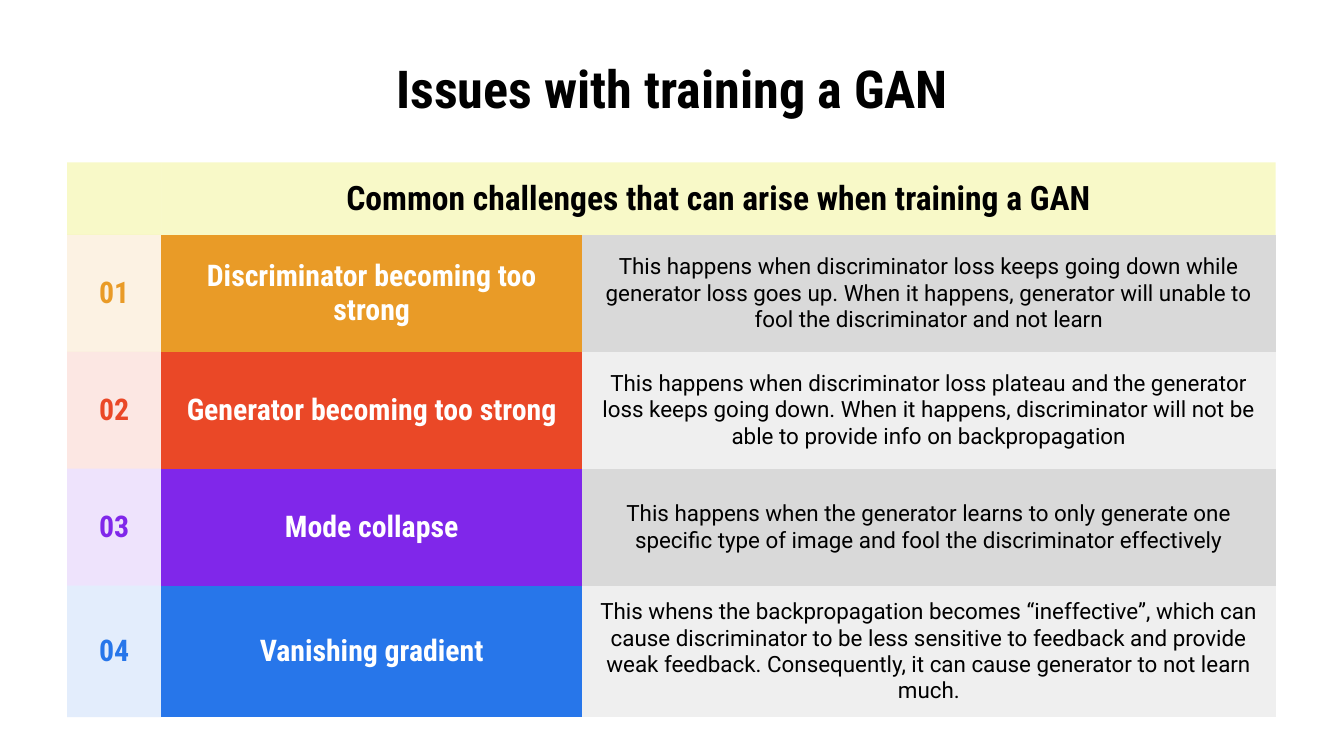
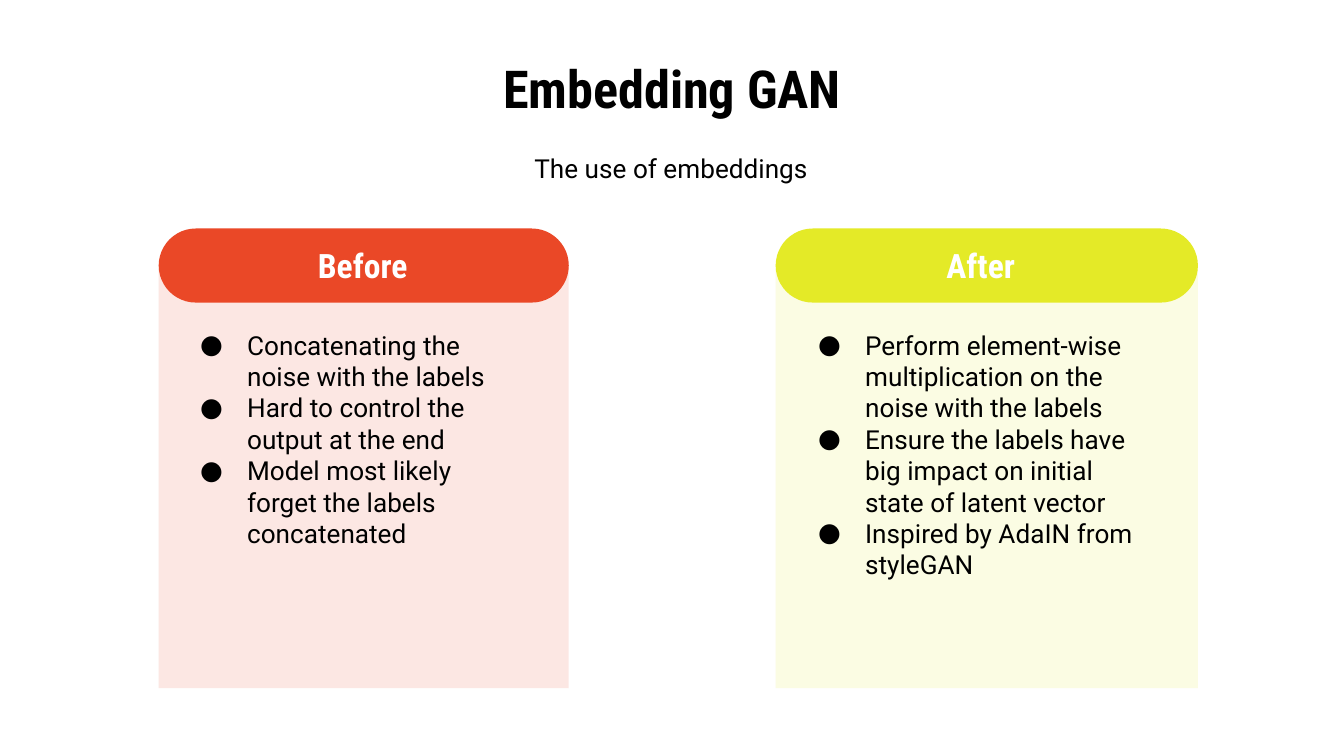
from lxml.etree import SubElement as Sub
from pptx import Presentation
from pptx.dml.color import RGBColor as RGB
from pptx.enum.shapes import MSO_SHAPE as Kind
from pptx.enum.text import MSO_ANCHOR as Anchor, MSO_AUTO_SIZE as Fit, PP_ALIGN as Align
from pptx.oxml.ns import qn
from pptx.util import Cm, Pt

BLACK, WHITE = RGB(0, 0, 0), RGB(255, 255, 255)
ORANGE, RED = RGB(0xE9, 0x9B, 0x27), RGB(0xEA, 0x48, 0x27)
PURPLE, BLUE = RGB(0x80, 0x27, 0xEA), RGB(0x27, 0x76, 0xEA)
LIME = RGB(0xE4, 0xEA, 0x27)
GREY, PALE = RGB(0xD9, 0xD9, 0xD9), RGB(0xEF, 0xEF, 0xEF)
HEAD, BODY = "Roboto Condensed", "Roboto"
NO_GRID = "{2D5ABB26-0587-4C30-8999-92F81FD0307C}"
INSET, INDENT = Cm(0.25), Cm(0.89)
TINT = 13


class Deck:
    def __init__(self):
        self.prs = Presentation()
        self.prs.slide_width, self.prs.slide_height = Cm(25.4), Cm(14.29)
        self.slide = None

    def page(self, layout, title):
        self.slide = self.prs.slides.add_slide(self.prs.slide_layouts[layout])
        box = self.slide.shapes.title
        self.place(box, 1.27, 1.14, 22.86, 1.04)
        self.frame(box, Anchor.MIDDLE)
        self.add_run(box.text_frame.paragraphs[0], title, 28, bold=True)

    def place(self, shape, x, y, w, h):
        shape.left, shape.top = Cm(x), Cm(y)
        shape.width, shape.height = Cm(w), Cm(h)

    def frame(self, box, anchor):
        text = box.text_frame
        text.word_wrap, text.auto_size = True, Fit.NONE
        text.vertical_anchor = anchor
        self.inset(text)

    def inset(self, item):
        item.margin_left = item.margin_right = INSET
        item.margin_top = item.margin_bottom = INSET

    def add_run(self, para, words, size, color=BLACK, bold=False, align=Align.CENTER):
        para.alignment = align
        para.space_before = Pt(0)
        run = para.add_run()
        run.text = words
        font = run.font
        font.name, font.size, font.bold = HEAD if bold else BODY, Pt(size), bold
        font.color.rgb = color

    def paint(self, fill, color, alpha=100):
        fill.solid()
        fill.fore_color.rgb = color
        if alpha < 100:
            node = next(fill._xPr.iter(qn("a:srgbClr")))
            Sub(node, qn("a:alpha"), val=str(alpha * 1000))

    def label(self, words, x, y, w, h, size, color=BLACK, bold=False, anchor=Anchor.MIDDLE):
        box = self.slide.shapes.add_textbox(Cm(x), Cm(y), Cm(w), Cm(h))
        self.frame(box, anchor)
        self.add_run(box.text_frame.paragraphs[0], words, size, color, bold)

    def block(self, kind, x, y, w, h, color, alpha=100):
        shape = self.slide.shapes.add_shape(kind, Cm(x), Cm(y), Cm(w), Cm(h))
        shape.shadow.inherit = False
        shape.line.fill.background()
        self.paint(shape.fill, color, alpha)
        return shape

    def bullets(self, slot, items, x, y, w, h):
        box = self.slide.placeholders[slot]
        self.place(box, x, y, w, h)
        self.frame(box, Anchor.TOP)
        text = box.text_frame
        for i, words in enumerate(items):
            para = text.add_paragraph() if i else text.paragraphs[0]
            props = para._p.get_or_add_pPr()
            props.set("marL", str(INDENT))
            props.set("indent", str(-INDENT))
            Sub(Sub(props, qn("a:buClr")), qn("a:srgbClr"), val=str(BLACK))
            Sub(props, qn("a:buFont"), typeface=BODY)
            Sub(props, qn("a:buChar"), char="●")
            self.add_run(para, words, 14, align=Align.LEFT)

    def table(self, x, y, cols, rows):
        shape = self.slide.shapes.add_table(
            len(rows), len(cols), Cm(x), Cm(y), Cm(sum(cols)), Cm(sum(rows)))
        grid = shape.table
        grid._tbl.tblPr.find(qn("a:tableStyleId")).text = NO_GRID
        grid.first_row = grid.horz_banding = False
        for col, w in zip(grid.columns, cols):
            col.width = Cm(w)
        for row, h in zip(grid.rows, rows):
            row.height = Cm(h)
        return grid

    def cell(self, cell, fill, alpha=100, words="", size=16, color=BLACK, bold=True):
        cell.vertical_anchor = Anchor.MIDDLE
        self.inset(cell)
        self.paint(cell.fill, fill, alpha)
        if words:
            self.add_run(cell.text_frame.paragraphs[0], words, size, color, bold)


def issues(deck):
    deck.page(5, "Issues with training a GAN")
    rows = [
        (ORANGE, "Discriminator becoming too strong",
         "This happens when discriminator loss keeps going down while generator loss goes up. "
         "When it happens, generator will unable to fool the discriminator and not learn"),
        (RED, "Generator becoming too strong",
         "This happens when discriminator loss plateau and the generator loss keeps going down. "
         "When it happens, discriminator will not be able to provide info on backpropagation"),
        (PURPLE, "Mode collapse",
         "This happens when the generator learns to only generate one specific type of image "
         "and fool the discriminator effectively"),
        (BLUE, "Vanishing gradient",
         "This whens the backpropagation becomes “ineffective”, which can cause discriminator "
         "to be less sensitive to feedback and provide weak feedback. "
         "Consequently, it can cause generator to not learn much."),
    ]
    grid = deck.table(1.27, 3.07, [1.78, 7.95, 13.11], [1.37, 2.21, 2.21, 2.21, 2.24])

    # Header band
    grid.cell(0, 1).merge(grid.cell(0, 2))
    deck.cell(grid.cell(0, 0), LIME, 25)
    deck.cell(grid.cell(0, 1), LIME, 25,
              "Common challenges that can arise when training a GAN", 18)

    # Numbered issues
    for i, (color, name, note) in enumerate(rows, 1):
        deck.cell(grid.cell(i, 0), color, TINT, f"{i:02}", color=color)
        deck.cell(grid.cell(i, 1), color, words=name, color=WHITE)
        deck.cell(grid.cell(i, 2), GREY if i % 2 else PALE, words=note, size=12, bold=False)


def embed(deck):
    deck.page(3, "Embedding GAN")
    deck.label("The use of embeddings", 8.86, 2.64, 7.65, 1.04, 14, anchor=Anchor.TOP)
    cards = [
        ("Before", RED, 3.0, 7.75, 3.53,
         ["Concatenating the noise with the labels",
          "Hard to control the output at the end",
          "Model most likely forget the labels concatenated"]),
        ("After", LIME, 14.66, 7.98, 15.21,
         ["Perform element-wise multiplication on the noise with the labels",
          "Ensure the labels have big impact on initial state of latent vector",
          "Inspired by AdaIN from styleGAN"]),
    ]
    for slot, (name, color, x, w, inner, items) in enumerate(cards, 1):
        # Tinted panel, sent behind the list
        panel = deck.block(Kind.RECTANGLE, x, 4.98, w, 8.03, color, TINT)
        deck.slide.shapes._spTree.insert(2, panel._element)
        # Pill heading
        pill = deck.block(Kind.ROUNDED_RECTANGLE, x, 4.32, w, 1.4, color)
        pill.adjustments[0] = 0.5
        deck.label(name, inner, 4.6, 6.65, 0.84, 18, WHITE, True)
        deck.bullets(slot, items, inner, 5.97, 6.65, 2.84)


def main():
    deck = Deck()
    issues(deck)
    embed(deck)
    deck.prs.save("out.pptx")


if __name__ == "__main__":
    main()
